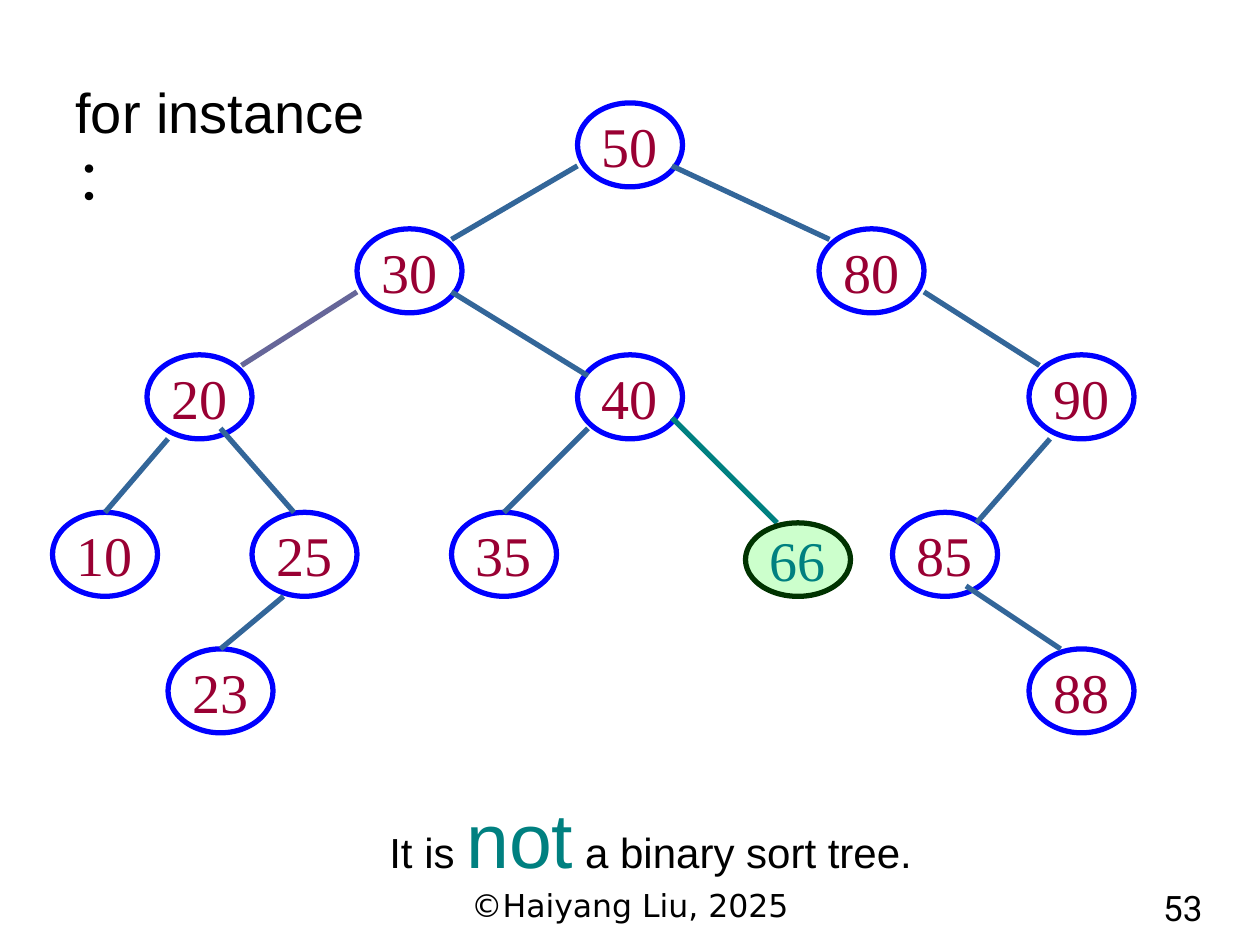
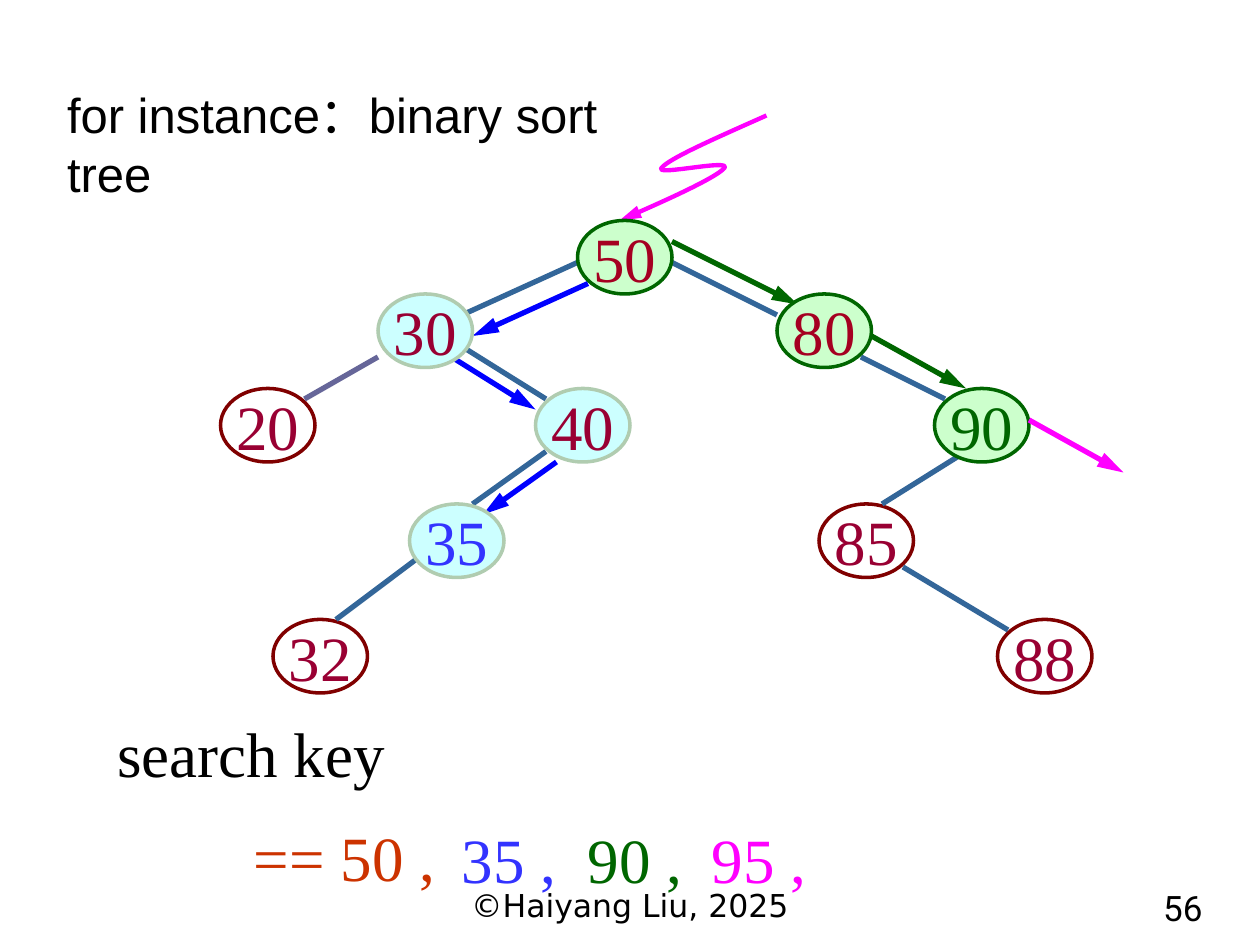
from dataclasses import dataclass

from lxml.etree import SubElement
from pptx import Presentation
from pptx.dml.color import RGBColor as RGB
from pptx.enum.shapes import MSO_CONNECTOR as CONNECTOR, MSO_SHAPE as SHAPE
from pptx.enum.text import MSO_ANCHOR as ANCHOR, PP_ALIGN as ALIGN
from pptx.oxml.ns import qn
from pptx.util import Pt

PX = 7620


@dataclass(frozen=True)
class Theme:
    sans: str = "Arial"
    serif: str = "Times New Roman"
    footer_font: str = "DejaVu Sans"
    number_font: str = "Roboto"
    black: str = "000000"
    blue: str = "0000FF"
    key_blue: str = "3333FF"
    steel: str = "336699"
    violet: str = "666699"
    crimson: str = "990033"
    red: str = "A50021"
    maroon: str = "800000"
    orange: str = "CC3300"
    teal: str = "008080"
    green: str = "006600"
    dark_green: str = "003300"
    pale_green: str = "CCFFCC"
    pale_cyan: str = "CCFFFF"
    sage: str = "B0CCB0"
    magenta: str = "FF00FF"
    footer_size: int = 18
    number_size: int = 20
    note_size: int = 24
    title_size: int = 28
    big_size: int = 32
    key_size: int = 36
    stress_size: int = 44
    edge_width: float = 3
    ring_width: float = 2
    curve_width: float = 2.5


T = Theme()


@dataclass(frozen=True)
class NodeStyle:
    ring: str
    ring_width: float
    text: str
    size: int
    fill: str = ""
    width: int = 90
    height: int = 70


PLAIN = NodeStyle(T.blue, T.edge_width, T.crimson, T.big_size, width=100, height=80)
MISPLACED = NodeStyle(T.dark_green, T.edge_width, T.teal, T.big_size, T.pale_green, width=100)
UNVISITED = NodeStyle(T.maroon, T.ring_width, T.crimson, T.key_size)
LEFT_PASSED = NodeStyle(T.sage, T.ring_width, T.crimson, T.key_size, T.pale_cyan)
LEFT_FOUND = NodeStyle(T.sage, T.ring_width, T.key_blue, T.key_size, T.pale_cyan)
RIGHT_PASSED = NodeStyle(T.green, T.ring_width, T.red, T.key_size, T.pale_green)
RIGHT_FOUND = NodeStyle(T.green, T.ring_width, T.green, T.key_size, T.pale_green)


def emu(*lengths):
    return [n * PX for n in lengths]


def add_run(p, text, font, size, color):
    r = p.add_run()
    r.text = text
    r.font.name = font
    r.font.size = Pt(size)
    r.font.color.rgb = RGB.from_string(color)


def add_text(s, box, runs, align=ALIGN.LEFT, right_inset=12):
    tf = s.shapes.add_textbox(*emu(*box)).text_frame
    tf.word_wrap = True
    tf.margin_right = right_inset * PX
    p = tf.paragraphs[0]
    p.alignment = align
    for run in runs:
        add_run(p, *run)


def add_heading(s, box, text, size):
    add_text(s, box, [(text, T.sans, size, T.black)], right_inset=30)


def add_node(s, left, top, key, style):
    sp = s.shapes.add_shape(SHAPE.OVAL, *emu(left, top, style.width, style.height))
    sp.shadow.inherit = False
    if style.fill:
        sp.fill.solid()
        sp.fill.fore_color.rgb = RGB.from_string(style.fill)
    else:
        sp.fill.background()
    sp.line.color.rgb = RGB.from_string(style.ring)
    sp.line.width = Pt(style.ring_width)
    tf = sp.text_frame
    tf.word_wrap = False
    tf.vertical_anchor = ANCHOR.MIDDLE
    p = tf.paragraphs[0]
    p.alignment = ALIGN.CENTER
    add_run(p, str(key), T.serif, style.size, style.text)


def add_nodes(s, style, nodes):
    for key, (left, top) in nodes.items():
        add_node(s, left, top, key, style)


def add_arrowhead(line):
    SubElement(line._get_or_add_ln(), qn("a:tailEnd"), type="triangle", len="lg")


def add_edges(s, color, edges, arrow=False):
    for ends in edges:
        cx = s.shapes.add_connector(CONNECTOR.STRAIGHT, *emu(*ends))
        cx.line.color.rgb = RGB.from_string(color)
        cx.line.width = Pt(T.edge_width)
        SubElement(cx._element.spPr, qn("a:effectLst"))
        if arrow:
            add_arrowhead(cx.line)


def add_curve_arrow(s, color, start, points):
    fb = s.shapes.build_freeform(*start, scale=PX)
    fb.add_line_segments(points, close=False)
    sp = fb.convert_to_shape()
    sp.shadow.inherit = False
    sp.fill.background()
    sp.line.color.rgb = RGB.from_string(color)
    sp.line.width = Pt(T.curve_width)
    add_arrowhead(sp.line)
    outline = next(sp._element.iter(qn("a:path")))
    segments = outline.findall(qn("a:lnTo"))
    for i in range(0, len(segments), 3):
        curve = SubElement(outline, qn("a:cubicBezTo"))
        for segment in segments[i:i + 3]:
            curve.append(segment[0])
            outline.remove(segment)


def add_footer(s, number):
    add_text(s, (410, 838, 380, 47),
             [("©Haiyang Liu, 2025", T.footer_font, T.footer_size, T.black)],
             ALIGN.CENTER)
    add_text(s, (973, 838, 184, 47),
             [(str(number), T.number_font, T.number_size, T.black)],
             ALIGN.RIGHT)


def build_counterexample(s):
    add_nodes(s, PLAIN, {
        50: (550, 98), 30: (340, 218), 80: (780, 218),
        20: (140, 338), 40: (550, 338), 90: (980, 338),
        10: (50, 488), 25: (240, 488), 35: (430, 488), 85: (850, 488),
        23: (160, 618), 88: (980, 618),
    })
    add_edges(s, T.steel, [
        (550, 158, 430, 228), (640, 158, 790, 228), (430, 278, 560, 358),
        (160, 418, 100, 488), (210, 408, 280, 488), (270, 568, 210, 618),
        (560, 408, 480, 488), (880, 278, 990, 348), (1000, 418, 930, 498),
        (920, 558, 1010, 618),
    ])
    add_edges(s, T.violet, [(340, 278, 230, 348)])
    add_heading(s, (60, 68, 368, 77), "for instance ：", T.big_size)
    add_text(s, (359, 748, 560, 101), [
        ("It is ", T.sans, T.note_size, T.black),
        ("not", T.sans, T.stress_size, T.teal),
        (" a binary sort tree.", T.sans, T.note_size, T.black),
    ])
    add_edges(s, T.teal, [(640, 398, 740, 498)])
    add_nodes(s, MISPLACED, {66: (710, 498)})
    add_footer(s, 53)


def build_search(s):
    add_nodes(s, UNVISITED, {
        20: (210, 370), 85: (780, 480), 88: (950, 590), 32: (260, 590),
    })
    add_edges(s, T.steel, [
        (550, 250, 440, 300), (640, 250, 740, 300), (440, 330, 520, 380),
        (520, 430, 450, 480), (820, 340, 900, 380), (920, 430, 840, 480),
        (860, 540, 960, 600), (400, 530, 320, 590),
    ])
    add_edges(s, T.violet, [(360, 340, 290, 380)])
    add_heading(s, (52, 75, 623, 125), "for instance：binary sort tree", T.title_size)
    add_curve_arrow(s, T.magenta, (730, 110), [
        (683, 131), (637, 151), (630, 160),
        (623, 168), (697, 151), (690, 160),
        (683, 168), (637, 190), (590, 210),
    ])
    add_edges(s, T.blue, [
        (560, 270, 450, 320), (430, 340, 510, 390), (530, 440, 460, 490),
    ], arrow=True)
    add_nodes(s, LEFT_PASSED, {30: (360, 280), 40: (510, 370)})
    add_nodes(s, LEFT_FOUND, {35: (390, 480)})
    add_edges(s, T.green, [(640, 230, 760, 290), (830, 320, 920, 370)], arrow=True)
    add_nodes(s, RIGHT_PASSED, {50: (550, 210), 80: (740, 280)})
    add_nodes(s, RIGHT_FOUND, {90: (890, 370)})
    add_edges(s, T.magenta, [(980, 400, 1070, 450)], arrow=True)
    for left, top, width, text, color in [
        (100, 675, 300, "search key", T.black),
        (230, 774, 220, "== 50 ,", T.orange),
        (428, 776, 130, "35 ,", T.key_blue),
        (548, 776, 130, "90 ,", T.green),
        (666, 776, 130, "95 ,", T.magenta),
    ]:
        add_text(s, (left, top, width, 85), [(text, T.serif, T.key_size, color)])
    add_footer(s, 56)


def main():
    prs = Presentation()
    prs.slide_width, prs.slide_height = emu(1200, 900)
    for build in (build_counterexample, build_search):
        build(prs.slides.add_slide(prs.slide_layouts[6]))
    prs.save("out.pptx")


if __name__ == "__main__":
    main()
